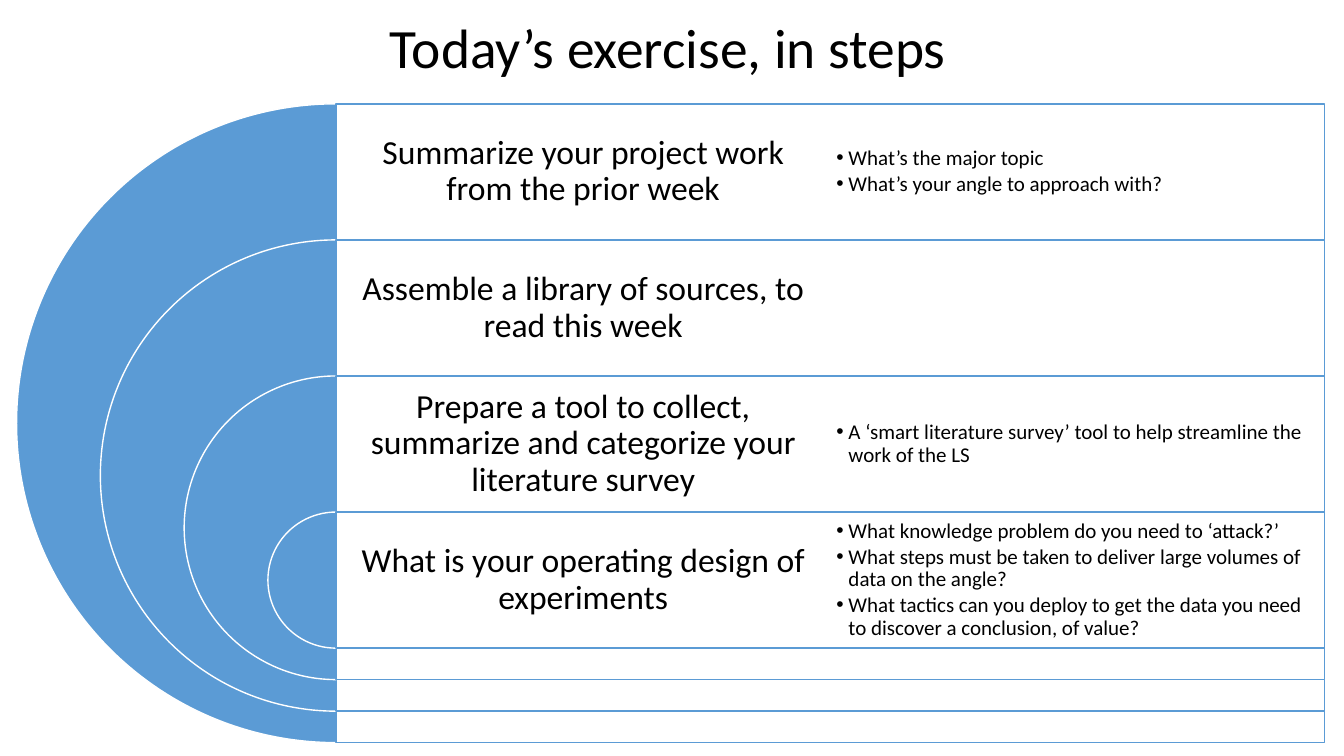
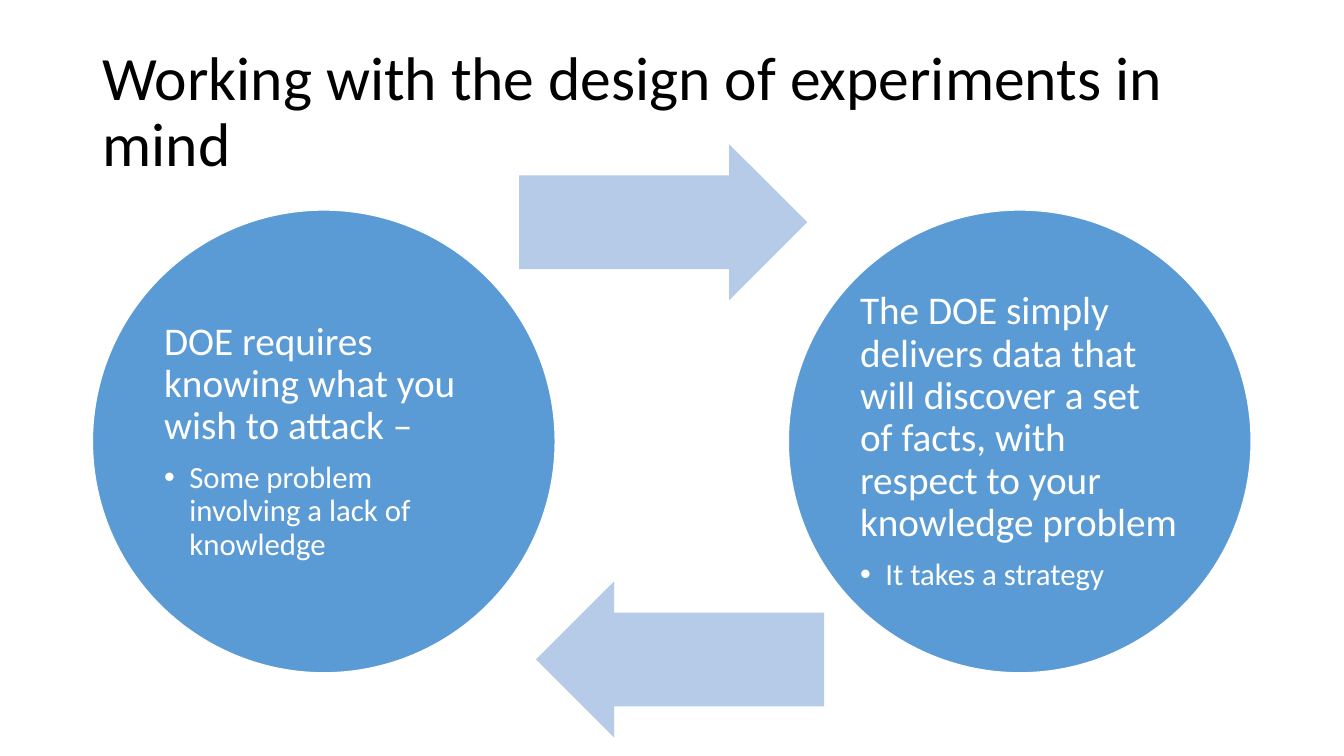
import pptx
import pptx.util
import pptx.oxml
import pptx.dml.color
import pptx.enum.shapes
import pptx.enum.text
import lxml.etree

RGB = pptx.dml.color.RGBColor
BLACK = RGB(0x00, 0x00, 0x00)
WHITE = RGB(0xFF, 0xFF, 0xFF)
BLUE = RGB(0x5B, 0x9B, 0xD5)
PALE = RGB(0xB5, 0xCB, 0xE7)

Pt = pptx.util.Pt
KIND = pptx.enum.shapes.MSO_SHAPE
ALIGN = pptx.enum.text.PP_ALIGN
MID = pptx.enum.text.MSO_ANCHOR.MIDDLE
NONE = pptx.enum.text.MSO_AUTO_SIZE.NONE
qn = pptx.oxml.ns.qn

COLS, ROWS = 160, 90  # square grid over the slide


class Deck:
    """Holds the shared style and the current slide."""
    face = "Calibri"
    lead = 0.9

    def __init__(self):
        self.file = pptx.Presentation()
        self.file.slide_width = pptx.util.Inches(13.33)
        self.file.slide_height = pptx.util.Inches(7.5)
        self.slide = None

    def area(self, left, top, width, height):
        """Turn grid columns and rows into slide lengths."""
        col = self.file.slide_width / COLS
        row = self.file.slide_height / ROWS
        return [int(n) for n in (left * col, top * row, width * col, height * row)]

    def page(self, title, box, size):
        """Start a slide and set its title."""
        self.slide = self.file.slides.add_slide(self.file.slide_layouts[5])
        head = self.slide.shapes.title
        head.left, head.top, head.width, head.height = self.area(*box)
        frame = head.text_frame
        frame.text = title
        frame.auto_size = NONE
        frame.vertical_anchor = MID
        self.style(frame.paragraphs[0], size, BLACK)

    def style(self, para, size, color, align=ALIGN.LEFT, after=0):
        """Format a paragraph; after is a share of the text size."""
        para.alignment = align
        para.line_spacing = self.lead
        para.space_after = Pt(round(size * after, 2))
        for run in para.runs:
            run.font.name = self.face
            run.font.size = Pt(size)
            run.font.color.rgb = color

    def bullet(self, para, indent):
        """Give a paragraph a hanging bullet, indent in inches."""
        prop = para._p.get_or_add_pPr()
        hang = pptx.util.Inches(indent)
        prop.set("marL", str(hang))
        prop.set("indent", str(-hang))
        lxml.etree.SubElement(prop, qn("a:buFont")).set("typeface", "Arial")
        lxml.etree.SubElement(prop, qn("a:buChar")).set("char", "•")

    def shape(self, kind, box, fill, line=None, adjust=(), turn=0, alpha=None):
        """Draw a preset shape."""
        item = self.slide.shapes.add_shape(kind, *self.area(*box))
        item.shadow.inherit = False
        item.rotation = turn
        for spot, value in enumerate(adjust):
            item.adjustments[spot] = value
        item.fill.solid()
        item.fill.fore_color.rgb = fill
        if alpha:
            tint = item._element.spPr.find(qn("a:solidFill"))[0]
            lxml.etree.SubElement(tint, qn("a:alpha")).set("val", str(alpha * 1000))
        if line is None:
            item.line.fill.background()
        else:
            item.line.color.rgb = line
            item.line.width = Pt(1)
        return item

    def frame(self, item, inset):
        """Prepare the text frame of a shape or box, inset in inches."""
        frame = item.text_frame
        frame.word_wrap = True
        frame.vertical_anchor = MID
        gap = pptx.util.Inches(inset)
        frame.margin_left = frame.margin_right = gap
        frame.margin_top = frame.margin_bottom = gap
        return frame

    def box(self, box, inset):
        """Add a text box and give back its frame."""
        return self.frame(self.slide.shapes.add_textbox(*self.area(*box)), inset)

    def list(self, frame, items, size, color, indent):
        """Add bullets, filling the first paragraph if it is empty."""
        for text in items:
            first = frame.paragraphs[0]
            para = frame.add_paragraph() if first.runs else first
            para.text = text
            self.bullet(para, indent)
            self.style(para, size, color, after=0.15)


# Steps: title, bullets
STEPS = [
    ("Summarize your project work from the prior week",
     ["What’s the major topic", "What’s your angle to approach with?"]),
    ("Assemble a library of sources, to read this week", []),
    ("Prepare a tool to collect, summarize and categorize your literature survey",
     ["A ‘smart literature survey’ tool to help streamline the work of the LS"]),
    ("What is your operating design of experiments",
     ["What knowledge problem do you need to ‘attack?’",
      "What steps must be taken to deliver large volumes of data on the angle?",
      "What tactics can you deploy to get the data you need to discover a "
      "conclusion, of value?"]),
]

# Circles: left column, text, bullet
DISCS = [
    (11, "DOE requires knowing what you wish to attack –",
     "Some problem involving a lack of knowledge"),
    (93.85, "The DOE simply delivers data that will discover a set of facts, "
     "with respect to your knowledge problem", "It takes a strategy"),
]

# Arrows: left column, top row, rotation
ARROWS = [(61.8, 17.15, 0), (63.8, 69.2, 180)]


def steps(deck):
    deck.page("Today’s exercise, in steps", (45.2, 2.3, 69, 7.5), 39.6)
    axis, top, row, wide = 40, 12.36, 16.2, 117.7
    half = wide / 2
    for step, (text, points) in enumerate(STEPS):
        y = top + step * row
        size = row + (len(STEPS) - 1 - step) * 19.95
        # Half disc and the panel beside it
        deck.shape(KIND.PIE, (axis - size / 2, y, size, size), BLUE, WHITE, (54, 162))
        deck.shape(KIND.RECTANGLE, (axis, y, wide, size), WHITE, BLUE, alpha=90)
        # Step name and bullets
        frame = deck.box((axis, y, half, row), 0.1)
        frame.text = text
        deck.style(frame.paragraphs[0], 24, BLACK, ALIGN.CENTER, 0.35)
        if points:
            frame = deck.box((axis + half, y, half, row), 0.06)
            deck.list(frame, points, 15, BLACK, 0.12)


def cycle(deck):
    deck.page("Working with the design of experiments in mind",
              (11, 4.8, 138, 17.4), 44)
    for left, text, point in DISCS:
        disc = deck.shape(KIND.OVAL, (left, 25, 55.1, 55.1), BLUE, WHITE)
        frame = deck.frame(disc, 0.04)
        frame.text = text
        deck.style(frame.paragraphs[0], 28, WHITE, after=0.35)
        deck.list(frame, [point], 22, WHITE, 0.25)
    for left, top, turn in ARROWS:
        deck.shape(KIND.RIGHT_ARROW, (left, top, 34.3, 18.6), PALE,
                   adjust=(0.6, 0.5), turn=turn)


def main():
    deck = Deck()
    steps(deck)
    cycle(deck)
    deck.file.save("out.pptx")


if __name__ == "__main__":
    main()
